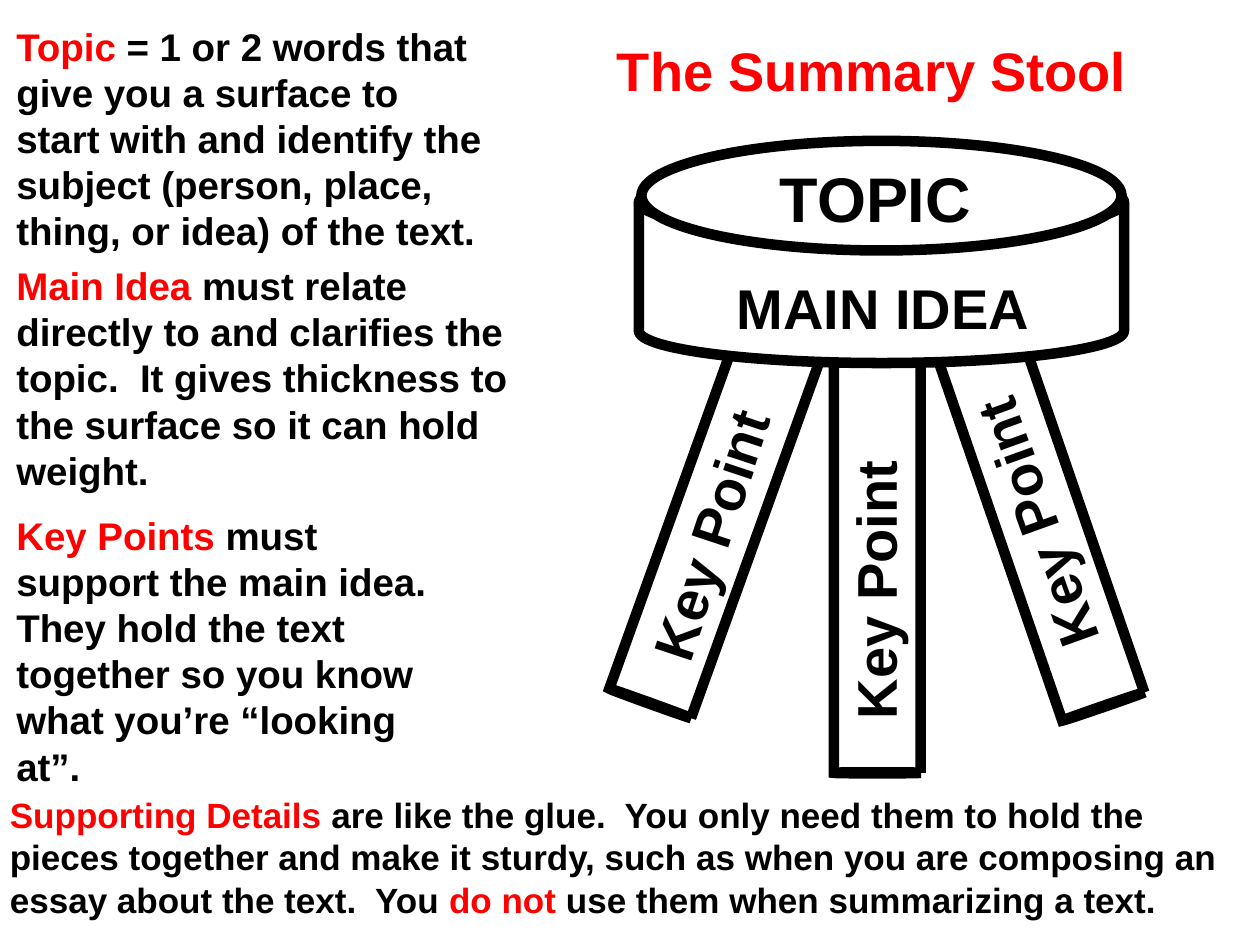
"""Build the Summary Stool slide: a labelled stool beside notes on its parts."""
import pptx
import pptx.dml.color
import pptx.enum.shapes
import pptx.enum.text
import pptx.oxml.ns
import pptx.util
from lxml import etree

Cm = pptx.util.Cm
SHAPES = pptx.enum.shapes.MSO_SHAPE
BLACK = pptx.dml.color.RGBColor(0, 0, 0)
WHITE = pptx.dml.color.RGBColor(255, 255, 255)
RED = pptx.dml.color.RGBColor(255, 0, 0)

deck = pptx.Presentation()
deck.slide_width, deck.slide_height = Cm(25.4), Cm(19.05)
page = deck.slides.add_slide(deck.slide_layouts[6])


def add_part(kind, left, top, width, height):
    part = page.shapes.add_shape(kind, Cm(left), Cm(top), Cm(width), Cm(height))
    part.shadow.inherit = False
    part.fill.solid()
    part.fill.fore_color.rgb = WHITE
    part.line.color.rgb = BLACK
    part.line.width = pptx.util.Pt(6)
    return part


def add_text(left, top, width, height, size, spans, wrap=True):
    box = page.shapes.add_textbox(Cm(left), Cm(top), Cm(width), Cm(height))
    box.text_frame.word_wrap = wrap
    box.text_frame.auto_size = pptx.enum.text.MSO_AUTO_SIZE.SHAPE_TO_FIT_TEXT
    para = box.text_frame.paragraphs[0]
    for words, color in spans:
        span = para.add_run()
        span.text = words
        span.font.name = "Arial"
        span.font.size = pptx.util.Pt(size)
        span.font.bold = True
        span.font.color.rgb = color
    return box


legs = [
    (13.72, 5.64, 8.81, 199.8),
    (19.89, 5.41, 9.09, 161),
    (16.81, 7.06, 8.53, 180),
]
for left, top, height, angle in legs:
    leg = add_part(SHAPES.CAN, left, top, 1.75, height)
    leg.adjustments[0] = 0.013
    leg.rotation = angle
    outline = leg.element.spPr.find(pptx.oxml.ns.qn("a:ln"))
    etree.SubElement(outline, pptx.oxml.ns.qn("a:miter"), lim="800000")

for left, top, angle in [(11.46, 9.96, 288.4), (18.03, 9.73, 250.2), (14.78, 11.07, 270)]:
    label = add_text(left, top, 5.72, 1.63, 32, [("Key Point", BLACK)], wrap=False)
    label.rotation = angle

notes = [
    (0.08, 0.33, 9.96, 4.93, 22, [
        ("Topic", RED),
        (" = 1 or 2 words that give you a surface to start with and identify "
         "the subject (person, place, thing, or idea) of the text.", BLACK),
    ]),
    (0.08, 5.16, 10.57, 4.93, 22, [
        ("Main Idea ", RED),
        ("must relate directly to and clarifies the topic.  It gives thickness "
         "to the surface so it can hold weight.", BLACK),
    ]),
    (0.08, 10.19, 9.53, 5.84, 22, [
        ("Key Points ", RED),
        ("must support the main idea.  They hold the text together so you know "
         "what you’re “looking at”.", BLACK),
    ]),
    (-0.05, 15.88, 25.43, 2.79, 20, [
        ("Supporting Details ", RED),
        ("are like the glue.  You only need them to hold the pieces together "
         "and make it sturdy, such as when you are composing an essay about "
         "the text.  You ", BLACK),
        ("do not ", RED),
        ("use them when summarizing a text.", BLACK),
    ]),
]
for note in notes:
    add_text(*note)

add_part(SHAPES.FLOWCHART_MAGNETIC_DISK, 12.88, 3.43, 9.78, 3.89)
add_text(14.6, 5.38, 6.6, 1.63, 32, [("MAIN IDEA", BLACK)], wrap=False)
add_part(SHAPES.OVAL, 12.93, 2.84, 9.68, 2.21)
add_text(15.47, 3.1, 4.39, 1.78, 36, [("TOPIC", BLACK)], wrap=False)

title = add_text(10.11, 0.63, 14.91, 1.57, 31, [("The Summary Stool", RED)])
title.text_frame.auto_size = pptx.enum.text.MSO_AUTO_SIZE.NONE
title.text_frame.vertical_anchor = pptx.enum.text.MSO_ANCHOR.MIDDLE
title.text_frame.paragraphs[0].alignment = pptx.enum.text.PP_ALIGN.CENTER

deck.save("out.pptx")
